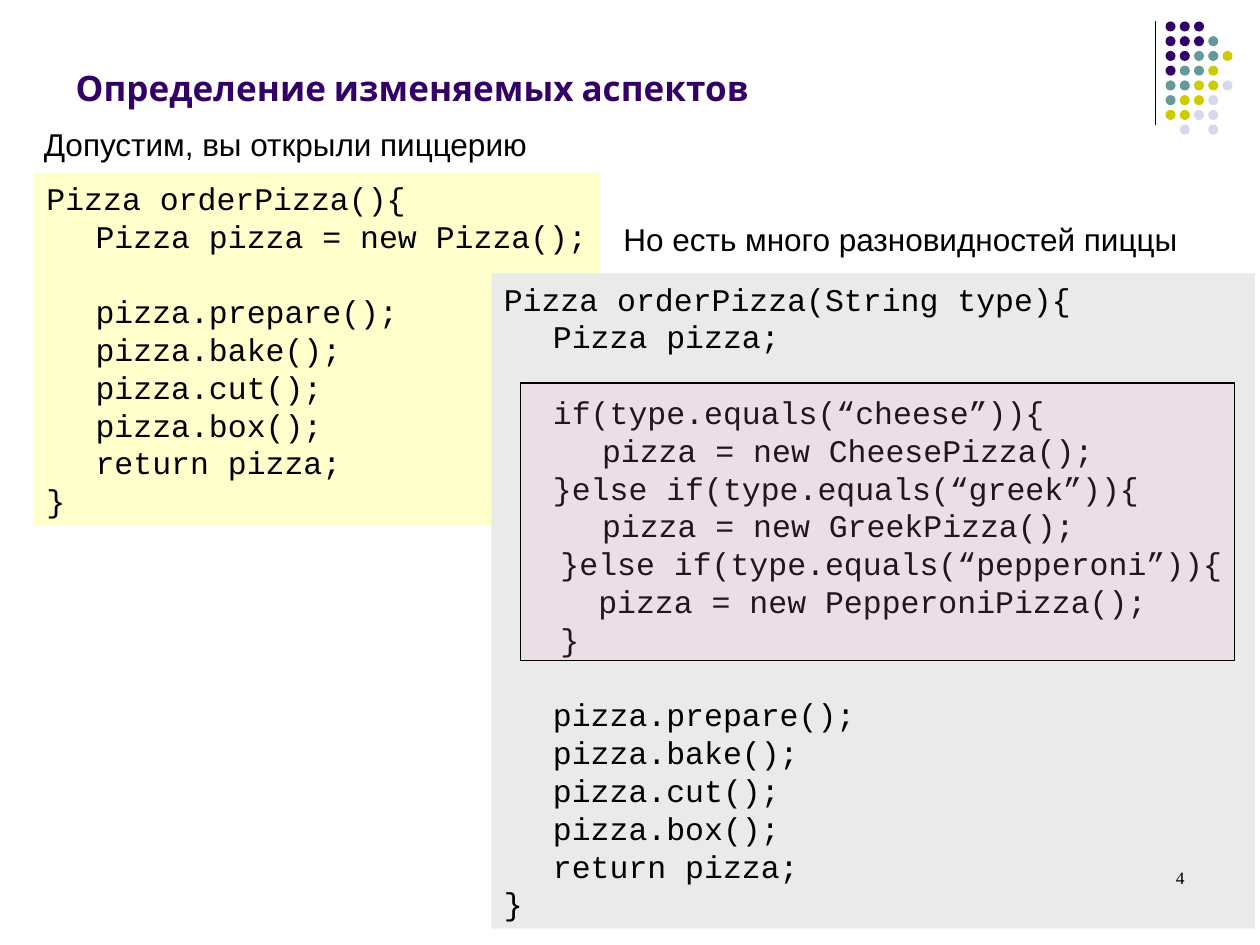
from lxml.etree import SubElement
from pptx import Presentation
from pptx.dml.color import RGBColor
from pptx.enum.shapes import MSO_CONNECTOR as Connector, MSO_SHAPE as Shape
from pptx.enum.text import MSO_ANCHOR as Anchor, PP_ALIGN as Align
from pptx.oxml.ns import qn
from pptx.util import Inches, Pt

DOT_ROWS = ["PPP", "PPPT", "PPTTY", "PTTY", "TTYYL", "TYYL", "YYLL", " L L"]
DOT_COLORS = {"P": "330066", "T": "669999", "Y": "CCCC00", "L": "D8D8EC"}
TAB_STOPS = [0.39, 0.78, 1.18]
LINE_HEIGHT = 21.6

SIMPLE_ORDER = """Pizza orderPizza(){
\tPizza pizza = new Pizza();

\tpizza.prepare();
\tpizza.bake();
\tpizza.cut();
\tpizza.box();
\treturn pizza;
}"""

TYPED_ORDER = """Pizza orderPizza(String type){
\tPizza pizza;

\tif(type.equals(“cheese”)){
\t\tpizza = new CheesePizza();
\t}else if(type.equals(“greek”)){
\t\tpizza = new GreekPizza();
   }else if(type.equals(“pepperoni”)){
     pizza = new PepperoniPizza();
   }

\tpizza.prepare();
\tpizza.bake();
\tpizza.cut();
\tpizza.box();
\treturn pizza;
}"""


def color(value):
    return RGBColor.from_string(value)


def style(para, size, name, value="000000", bold=False):
    para.font.size = Pt(size)
    para.font.name = name
    para.font.bold = bold
    para.font.color.rgb = color(value)


def add_filled(page, kind, left, top, width, height, fill):
    shape = page.shapes.add_shape(
        kind, Inches(left), Inches(top), Inches(width), Inches(height))
    shape.shadow.inherit = False
    shape.fill.solid()
    shape.fill.fore_color.rgb = color(fill)
    shape.line.fill.background()
    return shape


def add_corner_ornament(page, left, top, height):
    rule = page.shapes.add_connector(
        Connector.STRAIGHT, Inches(left), Inches(top),
        Inches(left), Inches(top + height))
    rule.line.color.rgb = color("000000")
    rule.line.width = Pt(0.75)
    SubElement(rule._element.spPr, qn("a:effectLst"))
    for row, letters in enumerate(DOT_ROWS):
        for column, letter in enumerate(letters):
            if letter in DOT_COLORS:
                add_filled(page, Shape.OVAL, left + 0.08 + column * 0.113,
                           top + row * 0.117, 0.08, 0.08, DOT_COLORS[letter])


def add_title(page, left, top, width, height, text):
    title = page.shapes.title
    title.left, title.top = Inches(left), Inches(top)
    title.width, title.height = Inches(width), Inches(height)
    title.text_frame.text = text
    title.text_frame.vertical_anchor = Anchor.BOTTOM
    para = title.text_frame.paragraphs[0]
    para.alignment = Align.LEFT
    style(para, 20, "Cabin", "330066", True)


def add_label(page, left, top, width, height, text,
              size=18, name="Arial", align=Align.LEFT):
    box = page.shapes.add_textbox(
        Inches(left), Inches(top), Inches(width), Inches(height))
    box.text_frame.word_wrap = True
    para = box.text_frame.paragraphs[0]
    para.text = text
    para.alignment = align
    style(para, size, name)


def add_tab_stops(para):
    tabs = SubElement(para._p.get_or_add_pPr(), qn("a:tabLst"))
    for stop in TAB_STOPS:
        SubElement(tabs, qn("a:tab"), pos=str(Inches(stop)), algn="l")


def add_code(page, left, top, width, height, fill, code, wrap):
    panel = add_filled(page, Shape.RECTANGLE, left, top, width, height, fill)
    frame = panel.text_frame
    frame.word_wrap = wrap
    frame.vertical_anchor = Anchor.TOP
    para = frame.paragraphs[0]
    gap = 0
    for number, line in enumerate(code.splitlines()):
        if not line:
            gap = LINE_HEIGHT
            continue
        if number:
            para = frame.add_paragraph()
        para.text = line
        add_tab_stops(para)
        para.alignment = Align.LEFT
        para.line_spacing = Pt(LINE_HEIGHT)
        if gap:
            para.space_before = Pt(gap)
        gap = 0
        style(para, 18, "Courier New")


def add_highlight(page, left, top, width, height):
    frame = add_filled(page, Shape.RECTANGLE, left, top, width, height, "FF99CC")
    frame.line.color.rgb = color("000000")
    frame.line.width = Pt(0.75)
    tint = frame._element.spPr.find(qn("a:solidFill")).find(qn("a:srgbClr"))
    SubElement(tint, qn("a:alpha"), val="14000")


def main():
    deck = Presentation()
    deck.slide_width, deck.slide_height = Inches(10), Inches(7.5)
    page = deck.slides.add_slide(deck.slide_layouts[5])
    add_corner_ornament(page, 9.17, 0.17, 0.82)
    add_title(page, 0.5, 0.13, 8.6, 0.78, "Определение изменяемых аспектов")
    add_label(page, 0.25, 0.94, 4.04, 0.4, "Допустим, вы открыли пиццерию")
    add_code(page, 0.27, 1.37, 4.49, 2.8, "FFFFCC", SIMPLE_ORDER, False)
    add_label(page, 4.85, 1.7, 4.8, 0.4, "Но есть много разновидностей пиццы")
    add_code(page, 3.9, 2.17, 6.06, 5.2, "EAEAEA", TYPED_ORDER, True)
    add_highlight(page, 4.13, 3.04, 5.67, 2.2)
    add_label(page, 7.17, 6.83, 2.33, 0.5, "4", 10, "Times New Roman", Align.RIGHT)
    deck.save("out.pptx")


if __name__ == "__main__":
    main()
